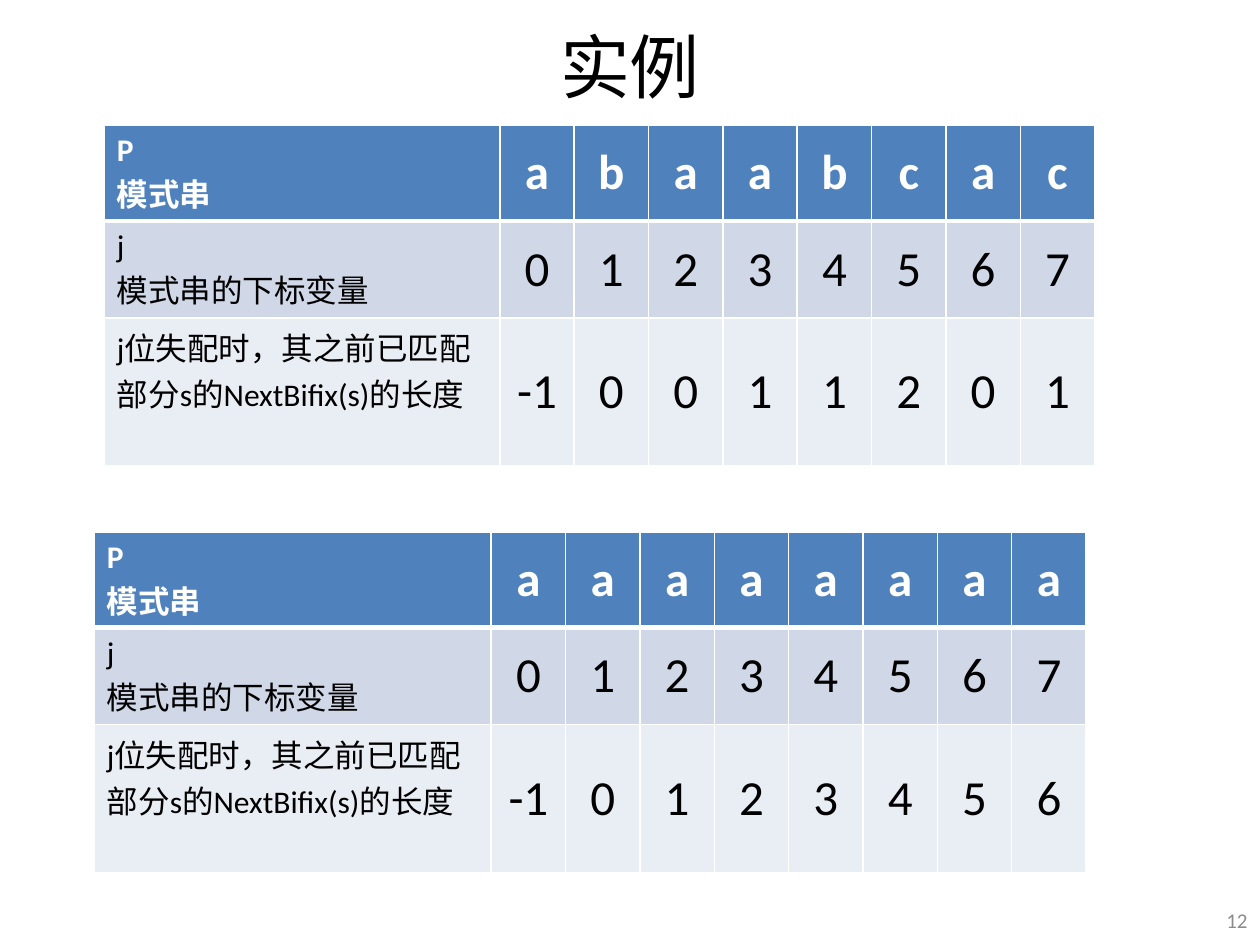
from dataclasses import dataclass

from lxml.etree import SubElement
from pptx import Presentation
from pptx.dml.color import RGBColor
from pptx.enum.text import MSO_ANCHOR, PP_ALIGN
from pptx.oxml.ns import qn
from pptx.slide import Slide
from pptx.table import _Cell
from pptx.text.text import TextFrame
from pptx.util import Pt


@dataclass(frozen=True)
class Theme:
    font: str = "Calibri"
    black: str = "000000"
    white: str = "FFFFFF"
    gray: str = "8C8C8C"
    row_fills: tuple[str, ...] = ("4F81BD", "D0D8E8", "E9EDF4")
    title_size: float = 40
    value_size: float = 28
    label_size: float = 18
    number_size: float = 12
    thin: float = 1
    thick: float = 3


@dataclass(frozen=True)
class TextItem:
    text: str
    left: float
    top: float
    width: float
    height: float
    size: float
    color: str
    align: PP_ALIGN


@dataclass(frozen=True)
class PatternTable:
    left: float
    top: float
    label_width: float
    pattern: str
    lengths: tuple[int, ...]


THEME = Theme()
ROW_LABELS = (
    "P\n模式串",
    "j\n模式串的下标变量",
    "j位失配时，其之前已匹配部分s的NextBifix(s)的长度",
)
ROW_HEIGHTS = (54.6, 55.4, 84.8)
VALUE_WIDTH = 42.5

TEXTS = (
    TextItem("实例", 36, -2, 648, 79, THEME.title_size, THEME.black, PP_ALIGN.CENTER),
    TextItem("12", 689, 511, 31, 29, THEME.number_size, THEME.gray, PP_ALIGN.RIGHT),
)
TABLES = (
    PatternTable(59.6, 71.6, 226, "abaabcac", (-1, 0, 0, 1, 1, 2, 0, 1)),
    PatternTable(53.9, 304.1, 226.8, "aaaaaaaa", (-1, 0, 1, 2, 3, 4, 5, 6)),
)


def write_text(frame: TextFrame, text: str, size: float, color: str,
               align: PP_ALIGN, bold: bool = False) -> None:
    frame.text = text
    for paragraph in frame.paragraphs:
        paragraph.alignment = align
        for span in paragraph.runs:
            span.font.name = THEME.font
            span.font.size = Pt(size)
            span.font.bold = bold
            span.font.color.rgb = RGBColor.from_string(color)


def add_text(page: Slide, item: TextItem) -> None:
    box = page.shapes.add_textbox(Pt(item.left), Pt(item.top), Pt(item.width), Pt(item.height))
    box.text_frame.word_wrap = True
    box.text_frame.vertical_anchor = MSO_ANCHOR.MIDDLE
    write_text(box.text_frame, item.text, item.size, item.color, item.align)


def add_borders(cell: _Cell, row: int) -> None:
    properties = cell._tc.get_or_add_tcPr()
    widths = {
        "a:lnL": THEME.thin,
        "a:lnR": THEME.thin,
        "a:lnT": THEME.thick if row == 1 else THEME.thin,
        "a:lnB": THEME.thick if row == 0 else THEME.thin,
    }
    for tag, width in widths.items():
        line = SubElement(properties, qn(tag), w=str(Pt(width)))
        fill = SubElement(line, qn("a:solidFill"))
        SubElement(fill, qn("a:srgbClr"), val=THEME.white)


def fill_cell(cell: _Cell, text: str, row: int, is_label: bool) -> None:
    is_header = row == 0
    write_text(
        cell.text_frame, text,
        THEME.label_size if is_label else THEME.value_size,
        THEME.white if is_header else THEME.black,
        PP_ALIGN.LEFT if is_label else PP_ALIGN.CENTER,
        is_header,
    )
    cell.vertical_anchor = MSO_ANCHOR.TOP if is_label else MSO_ANCHOR.MIDDLE
    add_borders(cell, row)
    cell.fill.solid()
    cell.fill.fore_color.rgb = RGBColor.from_string(THEME.row_fills[row])


def add_pattern_table(page: Slide, item: PatternTable) -> None:
    count = len(item.pattern)
    values = (item.pattern, range(count), item.lengths)
    width = item.label_width + count * VALUE_WIDTH
    table = page.shapes.add_table(len(values), count + 1, Pt(item.left), Pt(item.top),
                                  Pt(width), Pt(sum(ROW_HEIGHTS))).table
    for index, column in enumerate(table.columns):
        column.width = Pt(VALUE_WIDTH if index else item.label_width)
    for row, (label, height, row_values) in enumerate(zip(ROW_LABELS, ROW_HEIGHTS, values)):
        table.rows[row].height = Pt(height)
        for column, value in enumerate((label, *row_values)):
            fill_cell(table.cell(row, column), str(value), row, column == 0)


def main() -> None:
    deck = Presentation()
    deck.slide_width, deck.slide_height = Pt(720), Pt(540)
    page = deck.slides.add_slide(deck.slide_layouts[6])
    for text in TEXTS:
        add_text(page, text)
    for table in TABLES:
        add_pattern_table(page, table)
    deck.save("out.pptx")


if __name__ == "__main__":
    main()
